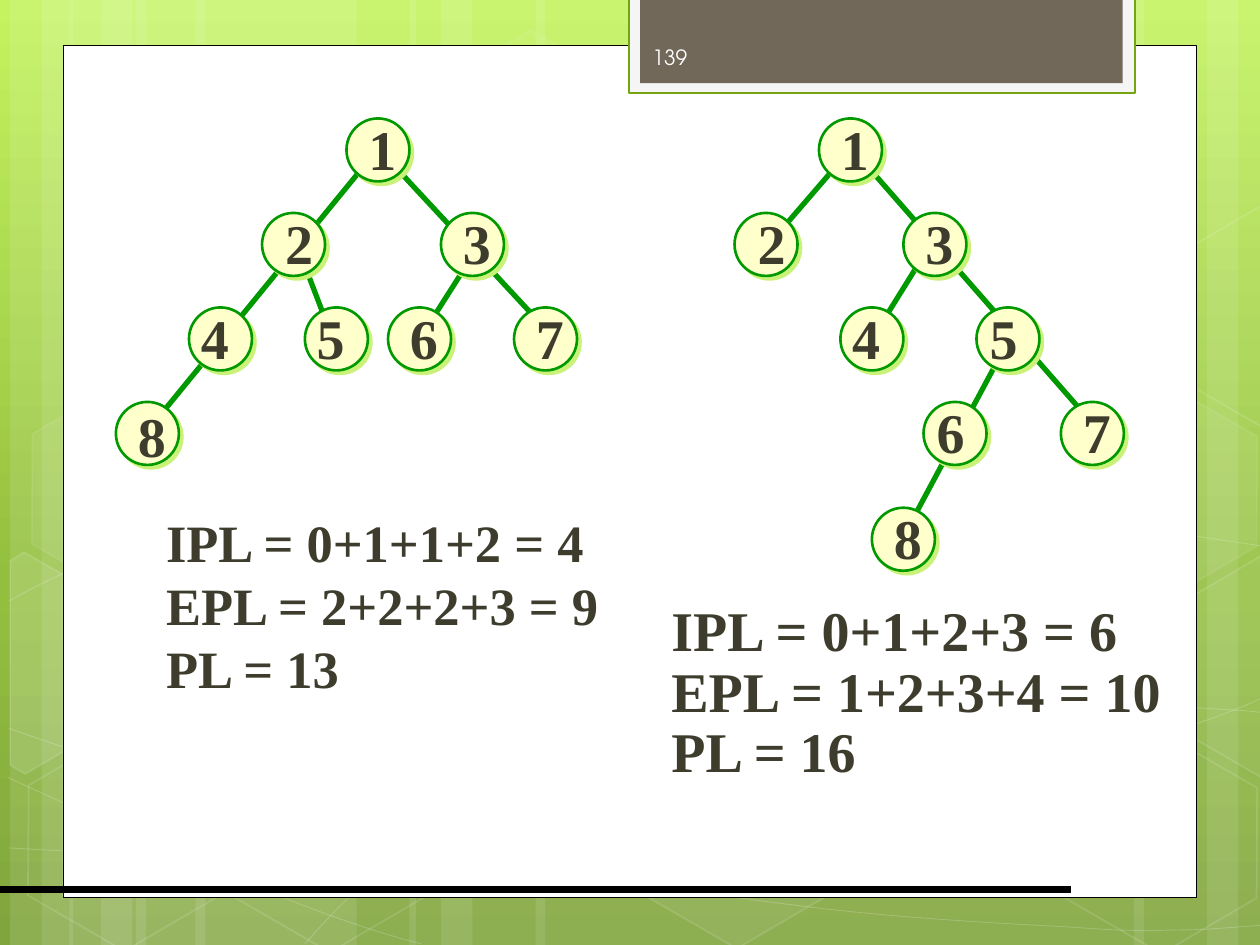
import copy
import math
from dataclasses import dataclass
from typing import Optional

import pptx
import pptx.dml.color
import pptx.enum.shapes
import pptx.enum.text
import pptx.oxml
import pptx.oxml.ns
import pptx.util
from pptx.util import Inches

HUES = {"white": "FFFFFF", "black": "000000", "text": "3E3D2D", "edge": "009900",
        "node": "FFFFCC", "shade": "CAF278", "frame": "F5F5F5", "rim": "74A510", "tab": "71685A",
        "page": "FEFEFE", "top": "C3F35F", "middle": "93BF3F", "base": "81A53E"}
SHAPES = pptx.enum.shapes.MSO_SHAPE
SERIF = {"name": "Times New Roman", "bold": True}
SIDE = 0.5  # node width and height
TILT = 30  # degrees that the cells of the backdrop are turned
XMLNS = pptx.oxml.ns.nsdecls("a")


@dataclass
class Node:
    label: str
    x: float
    y: float
    dx: float = -0.01
    dy: float = -0.08


@dataclass
class Tree:
    edges: list
    nodes: list


@dataclass
class Hexa:
    x: float
    y: float
    fill: Optional[int]
    line: int


@dataclass
class Part:
    mid: tuple
    points: list
    fill: Optional[int]


BARS = [(1.08, 1.75), (0.08, 0.5), (0.33, 0.83), (1.55, 1.75), (0.55, 0.5), (0.8, 0.83),
        (7.33, 1.75), (9.58, 0.5), (9, 0.83), (4.25, 3.08), (3.25, 0.5), (3.5, 0.83)]

# Each curve is a start point, then two control points and an end point per piece.
CURVES = [
    [(0.07, 6.73), (0.61, 6.76), (1.15, 6.79), (1.9, 6.78), (2.65, 6.77), (3.58, 6.75), (4.58, 6.65),
     (5.58, 6.55), (7, 6.36), (7.92, 6.17), (8.83, 5.98), (9.77, 5.68), (10.07, 5.51)],
    [(0.07, 4.77), (0.36, 4.61), (0.65, 4.46), (1.21, 4.31), (1.78, 4.16), (2.59, 3.94), (3.47, 3.87),
     (4.36, 3.8), (5.44, 3.79), (6.54, 3.87), (7.64, 3.95), (9.47, 4.26), (10.07, 4.34)],
    [(0.06, 6.17), (1.27, 6.72), (2.47, 7.27), (3.34, 7.49)],
    [(0.07, 5.78), (0.38, 5.89), (0.7, 6), (1.28, 6.16), (1.86, 6.31), (2.73, 6.56), (3.57, 6.73),
     (4.4, 6.9), (5.45, 7.08), (6.28, 7.18), (7.11, 7.29), (8, 7.33), (8.53, 7.36),
     (9.05, 7.4), (9.19, 7.38), (9.45, 7.38), (9.71, 7.37), (9.89, 7.35), (10.07, 7.34)],
    [(2.42, 7.49), (2.6, 7.29), (2.78, 7.09), (3.02, 6.91), (3.26, 6.73), (3.6, 6.53), (3.88, 6.39),
     (4.16, 6.25), (4.33, 6.19), (4.7, 6.09), (5.06, 5.99), (5.73, 5.85), (6.08, 5.78),
     (6.44, 5.71), (6.49, 5.71), (6.8, 5.69), (7.11, 5.66), (7.6, 5.63), (7.94, 5.62),
     (8.29, 5.61), (8.86, 5.62), (8.86, 5.62), (8.86, 5.62), (9.53, 5.62), (9.53, 5.62),
     (9.71, 5.63), (9.88, 5.64), (9.97, 5.65), (10.06, 5.66), (10.03, 5.65), (10.06, 5.66)],
]
HEXES = [Hexa(3.34, 0.36, 4, 8), Hexa(4.97, 5.89, 6, 12), Hexa(0.11, 5.91, None, 12),
         Hexa(0.14, 3.12, 7, 8), Hexa(1.74, 5.92, None, 12), Hexa(7.53, 4.53, 10, 12),
         Hexa(8.34, 5.93, None, 12), Hexa(8.34, 3.14, 7, 8)]
PARTS = [
    Part((0.36, 5.35), [(0.08, 4.45), (0.19, 4.38), (0.96, 4.82), (0.95, 5.7), (0.2, 6.14),
                        (0.08, 6.07)], 10),
    Part((9.85, 5.2), [(9.26, 4.85), (10.01, 4.41), (10.09, 4.46), (10.09, 6.13), (10.02, 6.17),
                       (9.26, 5.73)], 4),
    Part((9.85, 2.41), [(9.26, 2.07), (10.01, 1.63), (10.1, 1.68), (10.09, 3.35), (10.02, 3.39),
                        (9.26, 2.95)], None),
]
TREES = [
    Tree([(3.75, 2.03, 3.33, 2.69), (2.42, 2.11, 2.58, 2.53),
          (3.17, 1.36, 4.33, 2.61), (2.92, 1.28, 1.08, 3.53)],
         [Node("1", 2.75, 0.94), Node("2", 2.08, 1.69, 0), Node("3", 3.5, 1.69),
          Node("4", 1.5, 2.44, -0.09), Node("5", 2.42, 2.44, -0.09), Node("6", 3.08, 2.44),
          Node("7", 4.08, 2.44), Node("8", 0.92, 3.19, dy=-0.05)]),
    Tree([(7.33, 2.03, 6.92, 2.69), (7.92, 2.86, 7.25, 4.11),
          (6.92, 1.36, 8.67, 3.36), (6.67, 1.28, 6.17, 1.86)],
         [Node("1", 6.5, 0.94), Node("2", 5.83, 1.69, 0), Node("3", 7.17, 1.69),
          Node("4", 6.67, 2.44, -0.09), Node("5", 7.75, 2.44, -0.08),
          Node("6", 7.33, 3.19, -0.08), Node("7", 8.42, 3.19), Node("8", 6.92, 4.03)]),
]
NOTES = [  # box, size, line spacing, lines
    ((1.22, 4, 3.66, 1.6), 30, 1, ["IPL = 0+1+1+2 = 4", "EPL = 2+2+2+3 = 9", "PL = 13"]),
    ((5.23, 4.74, 4.11, 1.54), 32, 0.9, ["IPL = 0+1+2+3 = 6", "EPL = 1+2+3+4 = 10", "PL = 16"])]


def tint(name: str) -> pptx.dml.color.RGBColor:
    return pptx.dml.color.RGBColor.from_string(HUES[name])


def paint(shape, fill: Optional[str], line: Optional[str] = None, width: float = 1) -> None:
    shape.shadow.inherit = False
    for part, hue in ((shape.fill, fill), (shape.line.fill, line)):
        if hue:
            part.solid()
            part.fore_color.rgb = tint(hue)
        else:
            part.background()
    if line:
        shape.line.width = pptx.util.Pt(width)


def glaze(shape, fill: Optional[int], line: Optional[int], width: float = 1) -> None:
    """Paint a shape white with opacities in percent; None means no fill or no line."""
    paint(shape, fill and "white", line and "white", width)
    for where, share in (("", fill), ("a:ln/", line)):
        for hue in shape.element.xpath(f"p:spPr/{where}a:solidFill/a:srgbClr"):
            hue.append(pptx.oxml.parse_xml(f'<a:alpha {XMLNS} val="{share * 1000}"/>'))


def add_form(slide, kind, box: tuple):
    return slide.shapes.add_shape(kind, *map(Inches, box))


def add_path(slide, points: list, close: bool):
    spots = [(Inches(x), Inches(y)) for x, y in points]
    maker = slide.shapes.build_freeform(*spots[0])
    maker.add_line_segments(spots[1:], close=close)
    return maker.convert_to_shape()


def bend(shape) -> None:
    """Join each three straight pieces of a path into one Bezier piece."""
    steps = shape.element.xpath(".//a:lnTo")
    for i in range(0, len(steps), 3):
        curve = pptx.oxml.parse_xml(f"<a:cubicBezTo {XMLNS}/>")
        steps[i].addprevious(curve)
        for step in steps[i:i + 3]:
            curve.append(step[0])
            step.getparent().remove(step)


def turn(point: tuple, mid: tuple, angle: float) -> tuple:
    x, y = point[0] - mid[0], point[1] - mid[1]
    c, s = math.cos(math.radians(angle)), math.sin(math.radians(angle))
    return mid[0] + x * c - y * s, mid[1] + x * s + y * c


def add_line(slide, ends: tuple, hue: str, width: float) -> None:
    line = slide.shapes.add_connector(pptx.enum.shapes.MSO_CONNECTOR.STRAIGHT, *map(Inches, ends))
    line.line.color.rgb = tint(hue)
    line.line.width = pptx.util.Pt(width)
    line.element.spPr.append(pptx.oxml.parse_xml(f"<a:effectLst {XMLNS}/>"))


def add_text(slide, box: tuple, lines: list, size: int, style: dict, hue: str = "text",
             wrap: bool = True, align: str = "LEFT", space: float = 1) -> None:
    frame = slide.shapes.add_textbox(*map(Inches, box)).text_frame
    frame.text = "\n".join(lines)
    frame.word_wrap = wrap
    frame.vertical_anchor = pptx.enum.text.MSO_ANCHOR.MIDDLE
    for para in frame.paragraphs:
        para.alignment = pptx.enum.text.PP_ALIGN[align]
        para.line_spacing = space
        font = para.runs[0].font
        for key, value in {**style, "size": pptx.util.Pt(size)}.items():
            setattr(font, key, value)
        font.color.rgb = tint(hue)


def add_node(slide, node: Node) -> None:
    disc = add_form(slide, SHAPES.OVAL, (node.x, node.y, SIDE, SIDE))
    paint(disc, "node", "edge", 1.5)
    disc.element.spPr.find(pptx.oxml.ns.qn("a:effectLst")).append(pptx.oxml.parse_xml(
        f'<a:outerShdw {XMLNS} dist="{pptx.util.Pt(2.8)}" dir="2700000" algn="ctr" '
        f'rotWithShape="0"><a:srgbClr val="{HUES["shade"]}"/></a:outerShdw>'))


def add_back(slide) -> None:
    fill = slide.background.fill
    fill.gradient()
    fill.gradient_angle = 270
    first = slide.element.xpath(".//a:gs")[0]
    first.addnext(copy.deepcopy(first))
    for stop, hue, place in zip(fill.gradient_stops, ("top", "middle", "base"), (0, 0.62, 1)):
        stop.color.rgb = tint(hue)
        stop.position = place
    for left, width in BARS:
        glaze(add_form(slide, SHAPES.RECTANGLE, (left, 0, width, 7.5)), 10, None)
    for curve in CURVES:
        shape = add_path(slide, curve, False)
        bend(shape)
        glaze(shape, None, 20, 0.5)
    for cell in HEXES:
        shape = add_form(slide, SHAPES.HEXAGON, (cell.x, cell.y, 1.75, 1.52))
        shape.rotation, shape.adjustments[0] = TILT, 0.285
        glaze(shape, cell.fill, cell.line)
    for part in PARTS:
        shape = add_path(slide, [turn(point, part.mid, -TILT) for point in part.points], True)
        shape.rotation = TILT
        glaze(shape, part.fill, 12)


def main() -> None:
    deck = pptx.Presentation()
    deck.slide_width, deck.slide_height = Inches(10), Inches(7.5)
    slide = deck.slides.add_slide(deck.slide_layouts[6])
    add_back(slide)
    for box, *look in [((0.5, 0.36, 9, 6.76), "white", "black", 0.5),
                       ((4.99, -0.02, 4.02, 0.76), "frame", "rim", 1.25),
                       ((5.08, -0.02, 3.83, 0.68), "tab")]:
        paint(add_form(slide, SHAPES.RECTANGLE, box), *look)
    add_line(slide, (0, 7.06, 8.5, 7.06), "black", 4.5)
    add_text(slide, (5.08, 0.25, 1.46, 0.4), ["139"], 12, {"name": "TeX Gyre Adventor"}, "page")
    for tree in TREES:
        for ends in tree.edges:
            add_line(slide, ends, "edge", 3)
        for node in tree.nodes:
            add_node(slide, node)
        for node in tree.nodes:
            add_text(slide, (node.x + node.dx, node.y + node.dy, 0.59, 0.63),
                     [node.label], 32, SERIF, align="CENTER")
    for box, size, space, lines in NOTES:
        add_text(slide, box, lines, size, SERIF, wrap=False, space=space)
    deck.save("out.pptx")


if __name__ == "__main__":
    main()
